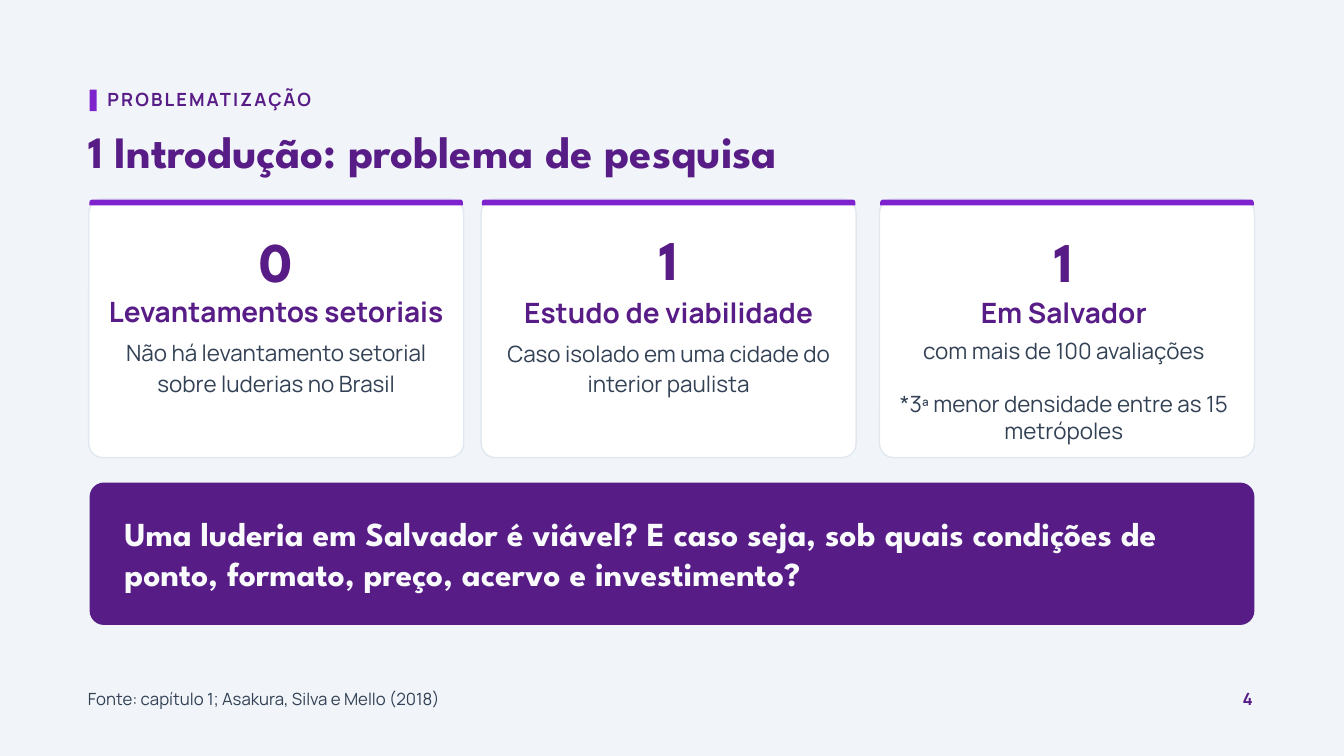
from pptx import Presentation
from pptx.dml.color import RGBColor
from pptx.enum.shapes import MSO_SHAPE as Preset
from pptx.enum.text import MSO_ANCHOR as Anchor, MSO_AUTO_SIZE as AutoSize, PP_ALIGN as Align
from pptx.util import Pt

PURPLE, VIOLET, SLATE = "581C87", "7E22CE", "334155"
WHITE, BORDER, PAPER, PALE = "FFFFFF", "E2E8F0", "F1F5F9", "F8FAFC"
DISPLAY, BODY = "League Spartan", "Manrope"

LABEL = "PROBLEMATIZAÇÃO"
TITLE = "1 Introdução: problema de pesquisa"
QUESTION = ("Uma luderia em Salvador é viável? E caso seja, sob quais condições de "
            "ponto, formato, preço, acervo e investimento?")
SOURCE = "Fonte: capítulo 1; Asakura, Silva e Mello (2018)"
PAGE_NUMBER = "4"

# left: card edge; center: axis of its texts; tops: number, heading, note
CARDS = [
    dict(left=95.04, center=295.9, tops=(254.9, 315.4, 360), leading=32.4,
         number="0", heading="Levantamentos setoriais",
         note=["Não há levantamento setorial sobre luderias no Brasil"]),
    dict(left=515.5, center=716.4, tops=(252.7, 316.1, 360.7), leading=32.4,
         number="1", heading="Estudo de viabilidade",
         note=["Caso isolado em uma cidade do interior paulista"]),
    dict(left=942.3, center=1139.8, tops=(254.9, 316.8, 360.7), leading=28.8,
         number="1", heading="Em Salvador",
         note=["com mais de 100 avaliações", "*3ª menor densidade entre as 15 metrópoles"]),
]
CARD_TOP, CARD_WIDTH, CARD_HEIGHT = 213.1, 401.8, 277.2
RADIUS = 15.3


def color(code):
    return RGBColor.from_string(code)


def add_panel(page, preset, left, top, width, height, fill, radius=0, border=None):
    panel = page.shapes.add_shape(preset, Pt(left), Pt(top), Pt(width), Pt(height))
    panel.shadow.inherit = False
    panel.fill.solid()
    panel.fill.fore_color.rgb = color(fill)
    if border:
        panel.line.color.rgb = color(border)
        panel.line.width = Pt(1.5)
    else:
        panel.line.fill.background()
    if radius:
        panel.adjustments[0] = radius / min(width, height)


def write(box, texts, size, leading, font=BODY, ink=PURPLE, bold=True,
          align=Align.LEFT, gap=0, tracking=0):
    """Fill a box with one paragraph per text; gap is the space between them."""
    frame = box.text_frame
    frame.word_wrap = True
    frame.auto_size = AutoSize.NONE
    frame.vertical_anchor = Anchor.TOP
    frame.margin_left = frame.margin_right = frame.margin_top = frame.margin_bottom = 0
    for index, text in enumerate(texts):
        para = frame.add_paragraph() if index else frame.paragraphs[0]
        para.alignment = align
        para.line_spacing = Pt(leading)
        para.space_before = Pt(gap if index else 0)
        span = para.add_run()
        span.text = text
        span.font.name = font
        span.font.size = Pt(size)
        span.font.bold = bold
        span.font.color.rgb = color(ink)
        if tracking:
            span.font._element.set("spc", str(round(tracking * 100)))


def add_text(page, left, top, width, height, texts, **style):
    box = page.shapes.add_textbox(Pt(left), Pt(top), Pt(width), Pt(height))
    write(box, texts, **style)


def add_card(page, card):
    left, center = card["left"], card["center"]
    add_panel(page, Preset.ROUNDED_RECTANGLE, left, CARD_TOP, CARD_WIDTH, CARD_HEIGHT,
              WHITE, RADIUS, BORDER)
    add_panel(page, Preset.ROUND_2_SAME_RECTANGLE, left + 0.75, CARD_TOP + 0.75,
              CARD_WIDTH - 1.5, 6.1, VIOLET, 3.05)
    number_top, heading_top, note_top = card["tops"]
    add_text(page, center - 180, number_top, 360, 54, [card["number"]],
             size=60, leading=60, font=DISPLAY, align=Align.CENTER)
    add_text(page, center - 192, heading_top, 384, 38, [card["heading"]],
             size=30, leading=36, align=Align.CENTER)
    leading = card["leading"]
    add_text(page, center - 180, note_top, 360, 65 if len(card["note"]) == 1 else 115,
             card["note"], size=24, leading=leading, ink=SLATE, bold=False,
             align=Align.CENTER, gap=leading)


def main():
    deck = Presentation()
    deck.slide_width, deck.slide_height = Pt(1440), Pt(810)
    page = deck.slides.add_slide(deck.slide_layouts[5])
    page.background.fill.solid()
    page.background.fill.fore_color.rgb = color(PAPER)

    add_panel(page, Preset.RECTANGLE, 96, 96, 7.5, 23, VIOLET)
    add_text(page, 115.2, 94.3, 227, 24.5, [LABEL], size=19.5, leading=23.4, tracking=2.2)

    title = page.shapes.title
    title.left, title.top, title.width, title.height = Pt(94.3), Pt(137.5), Pt(1301), Pt(54)
    write(title, [TITLE], size=48, leading=52.8, font=DISPLAY)

    for card in CARDS:
        add_card(page, card)

    add_panel(page, Preset.ROUNDED_RECTANGLE, 96, 517, 1248, 152.6, PURPLE, RADIUS)
    add_text(page, 133.2, 549.4, 1170, 86.4, [QUESTION],
             size=36, leading=43.2, font=DISPLAY, ink=PALE)

    add_text(page, 94.3, 738, 385, 22.3, [SOURCE], size=18, leading=21.6, ink=SLATE, bold=False)
    add_text(page, 1331.3, 738, 12.2, 22.3, [PAGE_NUMBER], size=18, leading=21.6)
    deck.save("out.pptx")


if __name__ == "__main__":
    main()
